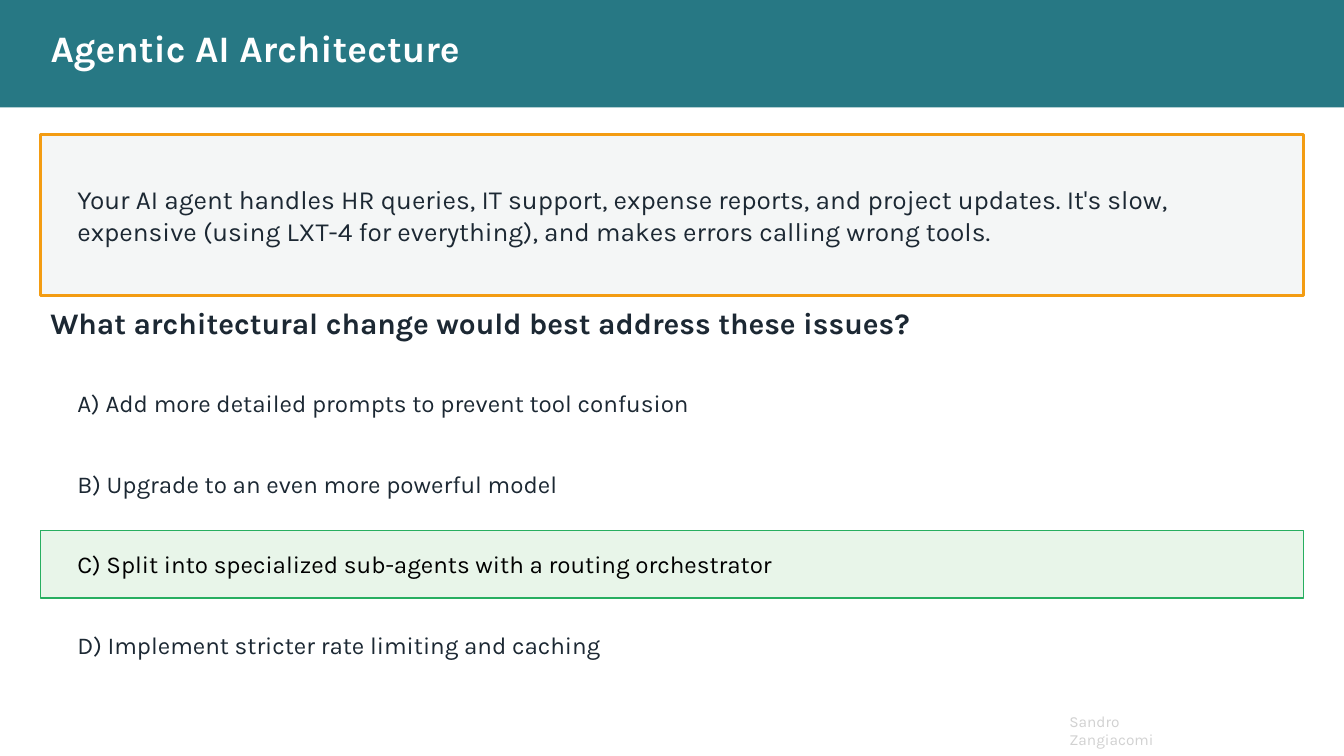
from dataclasses import dataclass

from pptx import Presentation
from pptx.dml.color import RGBColor
from pptx.enum.shapes import MSO_SHAPE
from pptx.enum.text import MSO_ANCHOR, MSO_AUTO_SIZE, PP_ALIGN
from pptx.util import Cm, Pt

RECTANGLE = MSO_SHAPE.RECTANGLE
TOP, MIDDLE = MSO_ANCHOR.TOP, MSO_ANCHOR.MIDDLE
LEFT = PP_ALIGN.LEFT
NO_AUTOFIT = MSO_AUTO_SIZE.NONE
TITLE_ONLY = 5


@dataclass(frozen=True)
class Theme:
    """Colours, type sizes and font of the quiz slide."""
    font: str = "Karla"
    band: str = "277884"
    white: str = "FFFFFF"
    ink: str = "1C2833"
    black: str = "000000"
    muted: str = "D1D1D1"
    scenario_fill: str = "F4F6F6"
    scenario_line: str = "F39C12"
    answer_fill: str = "E8F5E9"
    answer_line: str = "27AE60"
    title_size: float = 26.7
    question_size: float = 21.3
    scenario_size: float = 18.7
    option_size: float = 17.3
    author_size: float = 11


class QuizSlide:
    """Holds the theme and the current slide, and adds elements to it."""

    def __init__(self, slide, theme):
        """Keep the slide and its theme."""
        self.slide = slide
        self.theme = theme

    def fill_frame(self, frame, text, size, colour, bold=False, anchor=MIDDLE):
        """Put one formatted run into a text frame."""
        frame.word_wrap = True
        frame.auto_size = NO_AUTOFIT
        frame.vertical_anchor = anchor
        paragraph = frame.paragraphs[0]
        paragraph.alignment = LEFT
        run = paragraph.add_run()
        run.text = text
        run.font.name = self.theme.font
        run.font.size = Pt(size)
        run.font.bold = bold
        run.font.color.rgb = RGBColor.from_string(colour)

    def title(self, text, left, middle, width, height):
        """Place and fill the title placeholder."""
        heading = self.slide.shapes.title
        heading.left, heading.top = Cm(left), Cm(middle - height / 2)
        heading.width, heading.height = Cm(width), Cm(height)
        self.fill_frame(heading.text_frame, text, self.theme.title_size, self.theme.white, bold=True)

    def panel(self, left, top, width, height, fill, line=None, weight=1):
        """Add a filled rectangle with an optional outline."""
        panel = self.slide.shapes.add_shape(RECTANGLE, Cm(left), Cm(top), Cm(width), Cm(height))
        panel.shadow.inherit = False
        panel.fill.solid()
        panel.fill.fore_color.rgb = RGBColor.from_string(fill)
        if line:
            panel.line.color.rgb = RGBColor.from_string(line)
            panel.line.width = Pt(weight)
        else:
            panel.line.fill.background()
        return panel

    def band(self, width, height):
        """Add the header band behind the title."""
        band = self.panel(0, 0, width, height, self.theme.band)
        self.slide.shapes.title.element.addprevious(band.element)

    def text(self, text, left, middle, width, height, size, colour, bold=False, anchor=MIDDLE):
        """Add a text box centred on a height."""
        box = self.slide.shapes.add_textbox(Cm(left), Cm(middle - height / 2), Cm(width), Cm(height))
        self.fill_frame(box.text_frame, text, size, colour, bold, anchor)


def main():
    """Build the quiz slide and save it."""
    theme = Theme()
    deck = Presentation()
    deck.slide_width, deck.slide_height = Cm(33.87), Cm(19.05)
    quiz = QuizSlide(deck.slides.add_slide(deck.slide_layouts[TITLE_ONLY]), theme)

    margin, panel_width = 1.02, 31.83
    indent, text_width = 1.7, 30.48
    row_height = 1.2

    quiz.text("Sandro Zangiacomi", 26.7, 18.18, 3.78, 0.74,
              theme.author_size, theme.muted, anchor=TOP)
    quiz.band(33.87, 2.71)
    quiz.title("Agentic AI Architecture", margin, 1.2, 25.4, row_height)

    quiz.panel(margin, 3.39, panel_width, 4.06, theme.scenario_fill, theme.scenario_line, 2)
    quiz.text("Your AI agent handles HR queries, IT support, expense reports, and project updates. "
              "It's slow, expensive (using LXT-4 for everything), and makes errors calling wrong tools.",
              indent, 5.42, text_width, 3.39, theme.scenario_size, theme.ink)
    quiz.text("What architectural change would best address these issues?",
              margin, 8.13, panel_width, row_height, theme.question_size, theme.ink, bold=True)

    options = [
        "Add more detailed prompts to prevent tool confusion",
        "Upgrade to an even more powerful model",
        "Split into specialized sub-agents with a routing orchestrator",
        "Implement stricter rate limiting and caching",
    ]
    correct = "C"
    first_option, option_step, answer_height = 10.16, 2.03, 1.7
    for index, (letter, option) in enumerate(zip("ABCD", options)):
        middle = first_option + index * option_step
        colour = theme.ink
        if letter == correct:
            colour = theme.black
            quiz.panel(margin, middle - answer_height / 2, panel_width, answer_height,
                       theme.answer_fill, theme.answer_line)
        quiz.text(f"{letter}) {option}", indent, middle, text_width, row_height,
                  theme.option_size, colour)

    deck.save("out.pptx")


if __name__ == "__main__":
    main()
